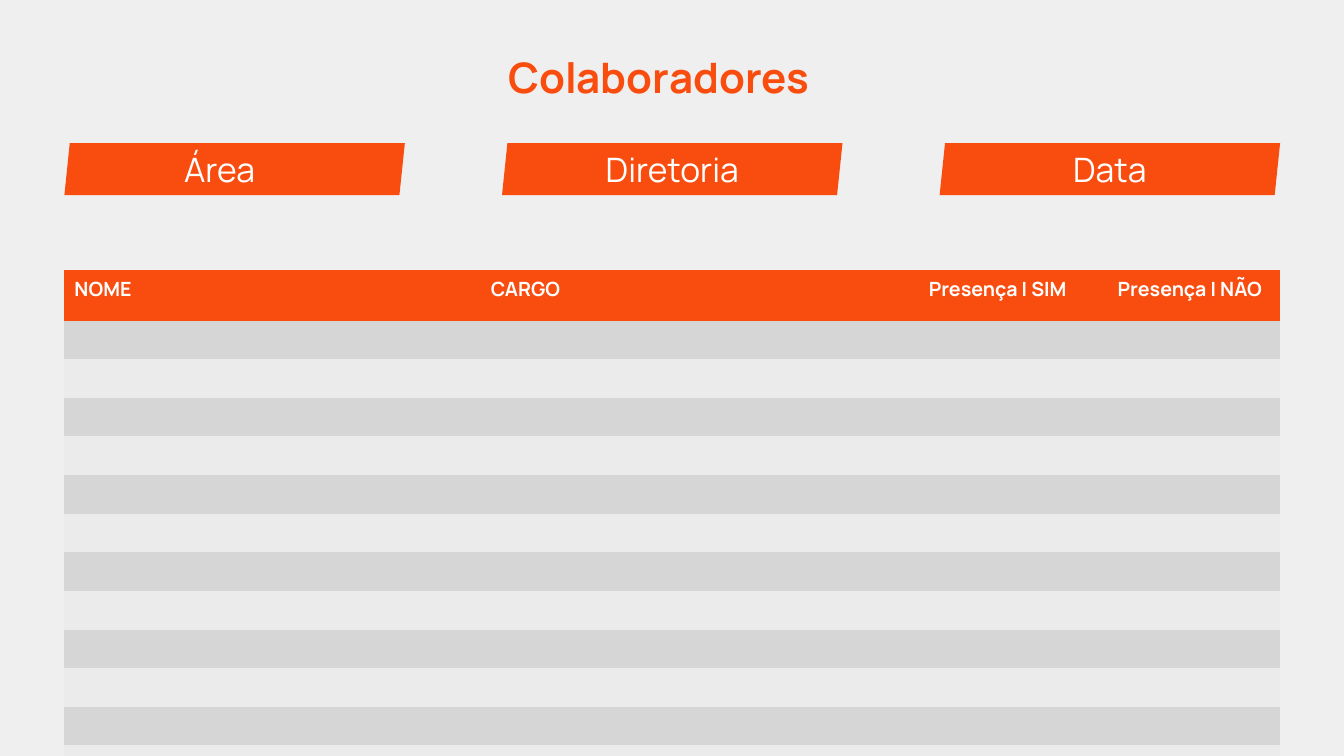
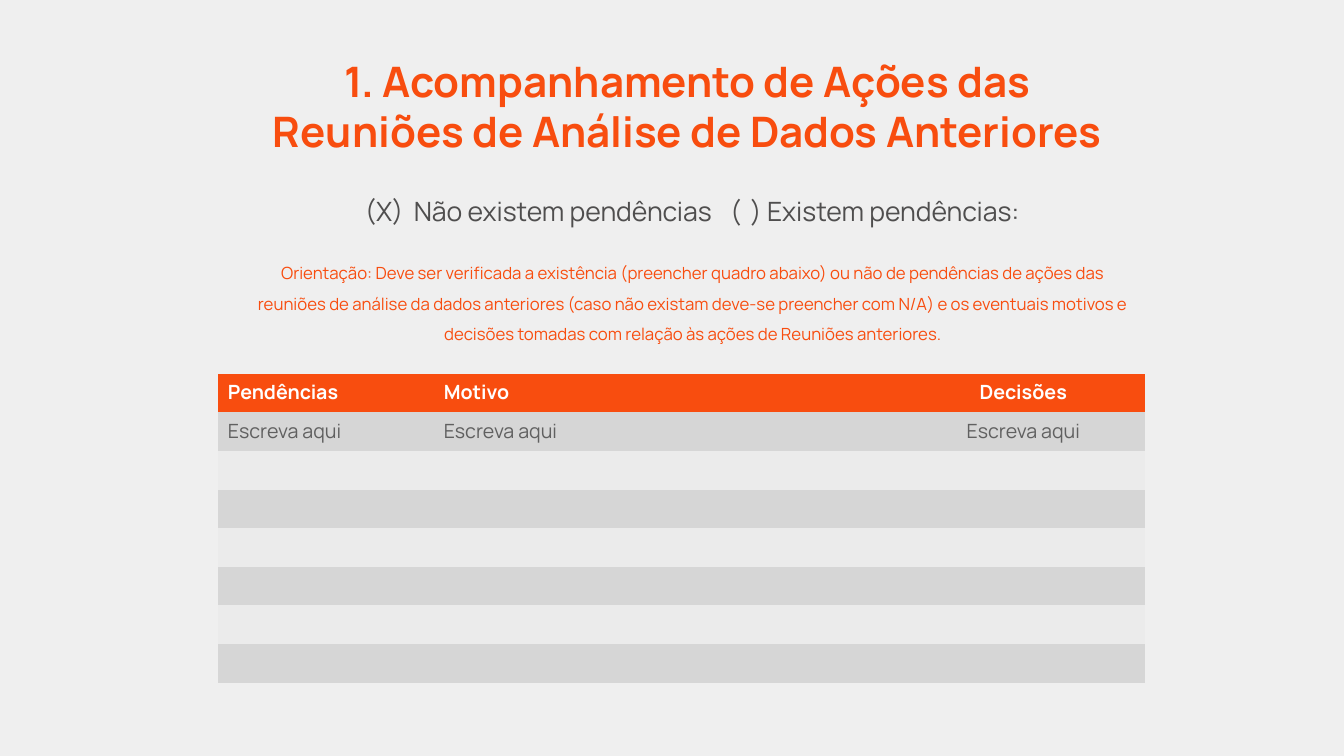
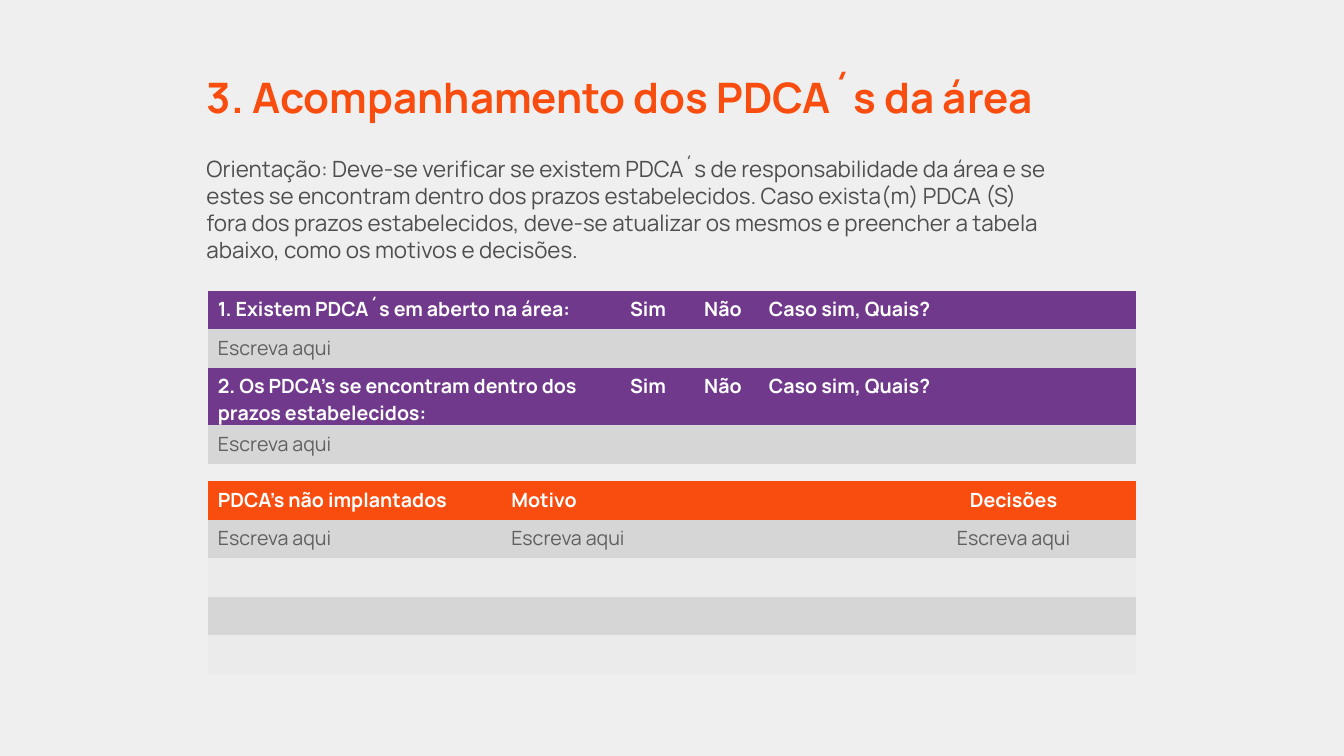
from lxml.etree import SubElement
from pptx import Presentation
from pptx.dml.color import RGBColor
from pptx.enum.shapes import MSO_SHAPE
from pptx.enum.text import MSO_ANCHOR, MSO_AUTO_SIZE, PP_ALIGN
from pptx.oxml.ns import qn
from pptx.util import Pt

HUES = {
    "back": "EFEFEF",
    "orange": "F84D0F",
    "purple": "70398C",
    "dark": "D6D6D6",
    "light": "EBEBEB",
    "white": "FFFFFF",
    "ink": "4F4E4E",
    "gray": "606060",
}
FONT = "Manrope"
PLAIN = "{2D5ABB26-0587-4C30-8999-92F81FD0307C}"
ROW = 27.6
LEFT, MID = PP_ALIGN.LEFT, PP_ALIGN.CENTER
HINT = "Escreva aqui"


def hue(name):
    return RGBColor.from_string(HUES[name])


class Deck:
    """Holds the shared style and the slide being built."""

    def __init__(self):
        self.prs = Presentation()
        self.prs.slide_width, self.prs.slide_height = Pt(960), Pt(540)
        self.paint(self.prs.slide_master.background.fill, "back")
        self.slide = None

    def paint(self, fill, name):
        fill.solid()
        fill.fore_color.rgb = hue(name)

    def put(self, frame, text, size, color, bold=False, align=LEFT, space=1.0, tabs=()):
        frame.text = text
        for para in frame.paragraphs:
            para.alignment = align
            para.line_spacing = space
            if tabs:
                stops = SubElement(para._p.get_or_add_pPr(), qn("a:tabLst"))
                for tab in tabs:
                    SubElement(stops, qn("a:tab"), pos=str(Pt(tab)), algn="l")
            font = para.font
            font.name, font.size, font.bold = FONT, Pt(size), bold
            font.color.rgb = hue(color)

    def title(self, text, left, top, width, height, align=MID):
        self.slide = self.prs.slides.add_slide(self.prs.slide_layouts[5])
        head = self.slide.shapes.title
        head.left, head.top, head.width, head.height = map(Pt, (left, top, width, height))
        frame = head.text_frame
        frame.auto_size = MSO_AUTO_SIZE.NONE
        frame.vertical_anchor = MSO_ANCHOR.TOP
        self.put(frame, text, 30, "orange", True, align)

    def text(self, text, left, top, width, height, size, color, pad=3.6, **style):
        box = self.slide.shapes.add_textbox(*map(Pt, (left, top, width, height)))
        frame = box.text_frame
        frame.word_wrap = True
        frame.margin_top = frame.margin_bottom = Pt(pad)
        self.put(frame, text, size, color, **style)

    def tag(self, text, left, shift=0):
        box = self.slide.shapes.add_shape(
            MSO_SHAPE.PARALLELOGRAM, Pt(left), Pt(102.2), Pt(243.2), Pt(37.2))
        box.adjustments[0] = 0.104
        box.shadow.inherit = False
        self.paint(box.fill, "orange")
        box.line.fill.background()
        frame = box.text_frame
        frame.margin_left = frame.margin_top = frame.margin_bottom = 0
        frame.margin_right = Pt(shift)
        frame.vertical_anchor = MSO_ANCHOR.MIDDLE
        self.put(frame, text, 24, "white", align=MID)

    def table(self, left, top, cols, mid, head, body=(), count=1, tall=ROW, color="orange"):
        frame = self.slide.shapes.add_table(
            count + 1, len(cols), Pt(left), Pt(top), Pt(sum(cols)), Pt(tall + count * ROW))
        grid = frame.table
        next(grid._tbl.iter(qn("a:tableStyleId"))).text = PLAIN
        for col, width in zip(grid.columns, cols):
            col.width = Pt(width)
        for at, row in enumerate(grid.rows):
            row.height = Pt(ROW if at else tall)
            words = (head, body)[at] if at < 2 else ()
            back = ("dark" if at % 2 else "light") if at else color
            for spot, cell in enumerate(row.cells):
                self.paint(cell.fill, back)
                cell.margin_bottom = 0
                self.put(
                    cell.text_frame, words[spot] if spot < len(words) else "", 14,
                    "gray" if at else "white", not at, MID if spot in mid else LEFT)


def main():
    deck = Deck()

    deck.title("Colaboradores", 106.6, 33, 728, 44)
    for spot, (name, shift) in enumerate([("Área", 21.5), ("Diretoria", 0), ("Data", 0)]):
        deck.tag(name, 46 + spot * 312.6, shift)
    deck.table(46, 193, (297.4, 296.6, 145.4, 129), (2, 3),
               ("NOME", "CARGO", "Presença | SIM", "Presença | NÃO"), count=12, tall=36)

    deck.title("1. Acompanhamento de Ações das\nReuniões de Análise de Dados Anteriores",
               66.6, 36, 849, 80)
    deck.text("(X)\tNão existem pendências\t(\t) Existem pendências:",
              253.5, 136, 520, 30, 19, "ink", tabs=(35, 261, 275.5))
    deck.text("Orientação: Deve ser verificada a existência (preencher quadro abaixo) ou não de "
              "pendências de ações das reuniões de análise da dados anteriores (caso não existam "
              "deve-se preencher com N/A) e os eventuais motivos e decisões tomadas com relação "
              "às ações de Reuniões anteriores.",
              172, 173.5, 646, 80, 12, "orange", 7.2, align=MID, space=1.5)
    deck.table(155.6, 267, (154.2, 334, 174.4), (2,),
               ("Pendências", "Motivo", "Decisões"), [HINT] * 3, 7)

    deck.title("3. Acompanhamento dos PDCA´s da área", 140.4, 47.5, 700, 44, LEFT)
    deck.text("Orientação: Deve-se verificar se existem PDCA´s de responsabilidade da área e se "
              "estes se encontram dentro dos prazos estabelecidos. Caso exista(m) PDCA (S) fora "
              "dos prazos estabelecidos, deve-se atualizar os mesmos e preencher a tabela abaixo, "
              "como os motivos e decisões.",
              140.4, 103.7, 622, 92, 16, "ink", 7.2)
    asks = [("1. Existem PDCA´s em aberto na área:", 207.6, ROW),
            ("2. Os PDCA’s se encontram dentro dos prazos estabelecidos:", 262.8, 40.8)]
    for ask, top, tall in asks:
        deck.table(148.4, top, (286.6, 56, 51, 269.2), (1, 2),
                   (ask, "Sim", "Não", "Caso sim, Quais?"), [HINT], tall=tall, color="purple")
    deck.table(148.4, 343.6, (209.6, 278.8, 174.4), (2,),
               ("PDCA’s não implantados", "Motivo", "Decisões"), [HINT] * 3, 4)

    deck.prs.save("out.pptx")


if __name__ == "__main__":
    main()
